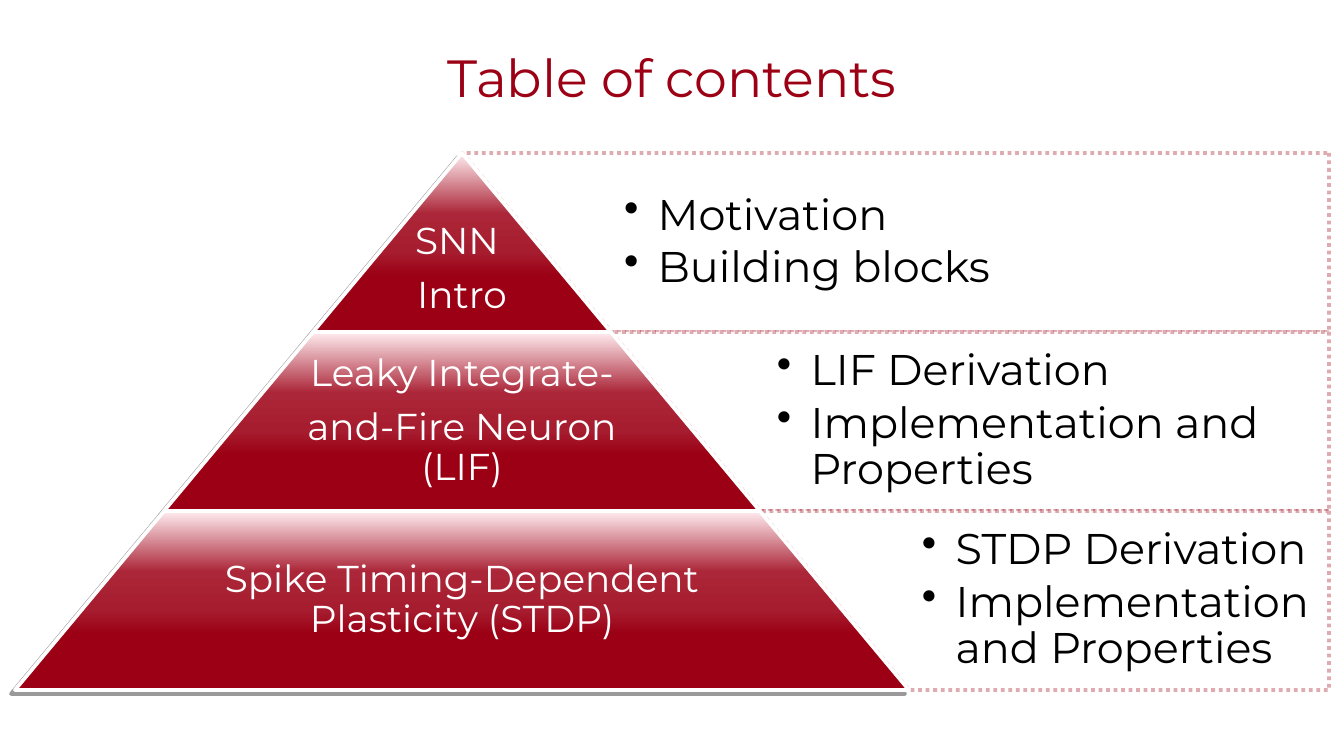
from copy import deepcopy

from lxml.etree import SubElement
from pptx import Presentation
from pptx.dml.color import RGBColor
from pptx.enum.dml import MSO_LINE
from pptx.enum.shapes import MSO_SHAPE
from pptx.enum.text import MSO_ANCHOR, PP_ALIGN
from pptx.oxml.ns import qn
from pptx.util import Emu, Pt

CRIMSON = RGBColor(0x9B, 0x00, 0x14)
WHITE = RGBColor(0xFF, 0xFF, 0xFF)
BLACK = RGBColor(0x00, 0x00, 0x00)
TIER_STOPS = [
    (0, RGBColor(0xFF, 0xED, 0xF0)),
    (0.34, RGBColor(0xAB, 0x26, 0x38)),
    (0.55, RGBColor(0xA7, 0x1D, 0x30)),
    (0.69, CRIMSON),
]
PX_PER_INCH = 134.4
SLOPE = 0.833
APEX, TOP, RIGHT = 462, 153, 1329
STEP, ROW = 149, 179
ROWS = [
    (["SNN ", "Intro"], 1, 54, ["Motivation", "Building blocks"], 13),
    (["Leaky Integrate-", "and-Fire Neuron (LIF)"], 0.65, 0,
     ["LIF Derivation", "Implementation and Properties"], 17),
    (["Spike Timing-Dependent Plasticity (STDP)"], 0.65, 0,
     ["STDP Derivation", "Implementation and Properties"], 13),
]


def px(length):
    return Emu(round(length * 914400 / PX_PER_INCH))


class PyramidSlide:
    """Draws the parts of a pyramid outline in one style on one slide."""

    font = "Montserrat"

    def __init__(self, slide):
        self.slide = slide

    def outline(self, preset, box, slopes):
        shape = self.slide.shapes.add_shape(preset, *map(px, box))
        shape.shadow.inherit = False
        for index, slope in enumerate(slopes):
            shape.adjustments[index] = slope
        shape.line.width = Pt(2)
        return shape

    def panel(self, box):
        panel = self.outline(MSO_SHAPE.NON_ISOSCELES_TRAPEZOID, box, [0, SLOPE])
        panel.rotation = 180
        panel.fill.solid()
        panel.fill.fore_color.rgb = WHITE
        panel.line.color.rgb = CRIMSON
        panel.line.dash_style = MSO_LINE.ROUND_DOT
        fill_color, line_color = panel._element.spPr.iter(qn("a:srgbClr"))
        SubElement(fill_color, qn("a:alpha"), val="90000")
        SubElement(line_color, qn("a:alpha"), val="32000")

    def tier(self, box):
        tier = self.outline(MSO_SHAPE.TRAPEZOID, box, [SLOPE])
        tier.line.color.rgb = WHITE
        tier.fill.gradient()
        tier.fill.gradient_angle = 270
        properties = tier._element.spPr
        stops = properties.find(qn("a:gradFill")).find(qn("a:gsLst"))
        while len(stops) < len(TIER_STOPS):
            stops.append(deepcopy(stops[-1]))
        for stop, (position, color) in zip(tier.fill.gradient_stops, TIER_STOPS):
            stop.position = position
            stop.color.rgb = color
        shadow = SubElement(
            properties.find(qn("a:effectLst")), qn("a:outerShdw"),
            blurRad="0", dist=str(Pt(3)), dir=str(135 * 60000), rotWithShape="0")
        shade = SubElement(shadow, qn("a:srgbClr"), val=str(BLACK))
        SubElement(shade, qn("a:alpha"), val="40000")

    def text(self, box, lines, size, color, inset, after=0, extra_top=0, bullets=False):
        frame = self.slide.shapes.add_textbox(*map(px, box)).text_frame
        frame.word_wrap = True
        frame.vertical_anchor = MSO_ANCHOR.MIDDLE
        frame.margin_left = frame.margin_right = frame.margin_bottom = px(inset)
        frame.margin_top = px(inset + extra_top)
        frame.text = "\n".join(lines)
        for paragraph in frame.paragraphs:
            if bullets:
                self.bullet(paragraph)
            else:
                paragraph.alignment = PP_ALIGN.CENTER
            paragraph.line_spacing = 0.9 if after else 1.0
            paragraph.space_after = Pt(after)
            for run in paragraph.runs:
                run.font.name = self.font
                run.font.size = Pt(size)
                run.font.color.rgb = color

    def bullet(self, paragraph):
        paragraph.level = 1
        properties = paragraph._p.get_or_add_pPr()
        properties.set("marL", "228600")
        properties.set("indent", "-228600")
        color = SubElement(properties, qn("a:buClr"))
        SubElement(color, qn("a:srgbClr"), val=str(BLACK))
        SubElement(properties, qn("a:buChar"), char="•")


def main():
    presentation = Presentation()
    presentation.slide_width = px(1344)
    presentation.slide_height = px(756)
    outline = PyramidSlide(
        presentation.slides.add_slide(presentation.slide_layouts[6]))
    outline.text((46, 31, 1252, 91), ["Table of contents"], 28, CRIMSON, 13)
    for index, (label, share, extra_top, topics, inset) in enumerate(ROWS):
        top = TOP + index * ROW
        upper, lower = index * STEP, (index + 1) * STEP
        outline.panel((APEX + upper, top, RIGHT - APEX - upper, ROW))
        outline.text((APEX + lower, top, RIGHT - APEX - lower, ROW),
                     topics, 23, BLACK, inset, after=3.45, bullets=True)
        outline.tier((APEX - lower, top, 2 * lower, ROW))
        half = round(lower * share)
        outline.text((APEX - half, top, 2 * half, ROW),
                     label, 20, WHITE, 4, after=7, extra_top=extra_top)
    presentation.save("out.pptx")


if __name__ == "__main__":
    main()
